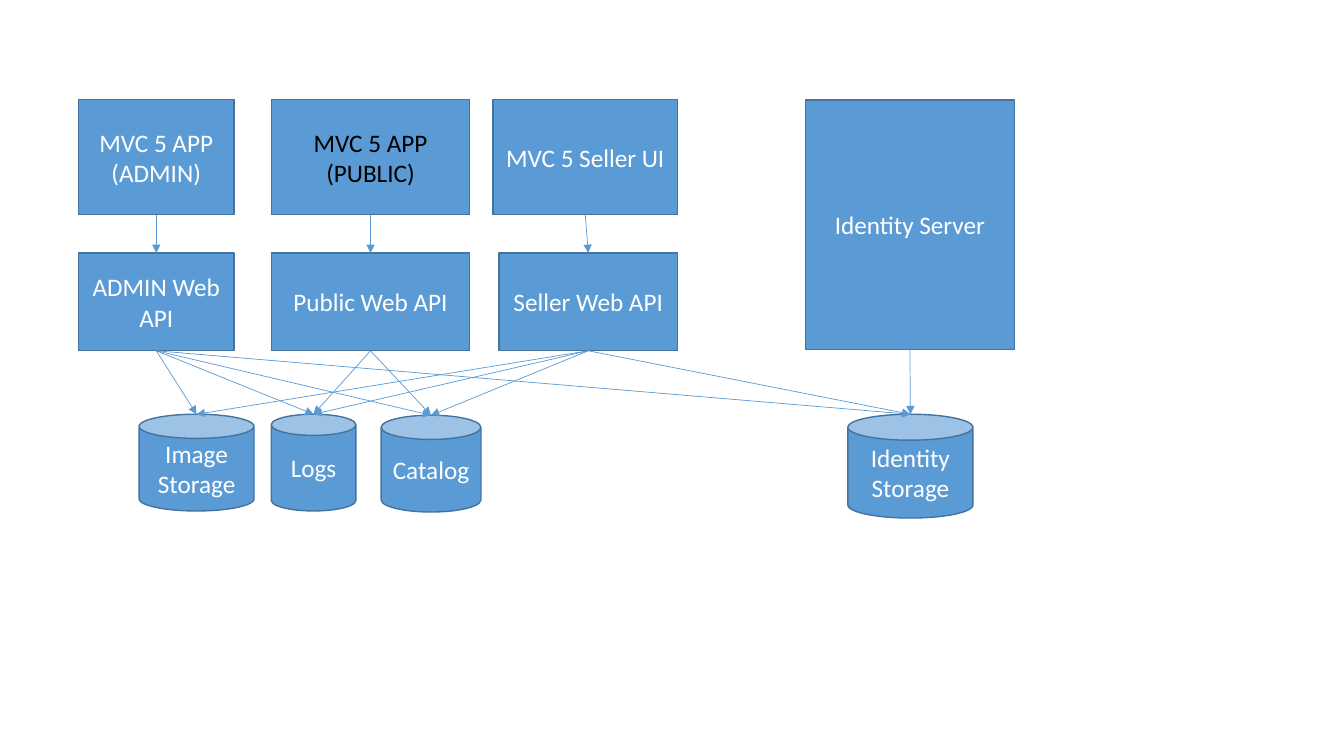
"""Builds a one-slide diagram of web apps, their APIs and their data stores."""
from lxml import etree
from pptx import Presentation
from pptx.dml.color import RGBColor
from pptx.enum.shapes import MSO_CONNECTOR, MSO_SHAPE
from pptx.enum.text import MSO_ANCHOR, PP_ALIGN
from pptx.oxml.ns import qn
from pptx.util import Inches, Pt

RECT, CAN = MSO_SHAPE.RECTANGLE, MSO_SHAPE.CAN
STRAIGHT = MSO_CONNECTOR.STRAIGHT
MIDDLE, CENTER = MSO_ANCHOR.MIDDLE, PP_ALIGN.CENTER
BLUE, DARK_BLUE, WHITE, BLACK = "5B9BD5", "43739E", "FFFFFF", "000000"
RECT_TOP, RECT_BOTTOM, CAN_TOP = 0, 2, 1
APP_TOP, API_TOP, STORE_TOP = 0.99, 2.51, 4.11
APP_H, API_H, STORE_H = 1.14, 0.97, 0.96


def rgb(value):
    """Return the colour for a hex string."""
    return RGBColor.from_string(value)


def add_node(s, kind, text, left, top, width, height, color=WHITE):
    """Add a filled shape with a centred label."""
    sp = s.shapes.add_shape(kind, Inches(left), Inches(top), Inches(width), Inches(height))
    sp.shadow.inherit = False
    sp.fill.solid()
    sp.fill.fore_color.rgb = rgb(BLUE)
    sp.line.color.rgb = rgb(DARK_BLUE)
    sp.line.width = Pt(1)
    tf = sp.text_frame
    tf.text = text
    tf.word_wrap = True
    tf.vertical_anchor = MIDDLE
    p = tf.paragraphs[0]
    p.alignment = CENTER
    font = p.runs[0].font
    font.name, font.size, font.color.rgb = "Calibri", Pt(18), rgb(color)
    return sp


def add_arrow(s, source, target, target_site):
    """Connect the bottom centre of source to the top centre of target."""
    x, y = target.left + target.width // 2, target.top
    cx = s.shapes.add_connector(
        STRAIGHT, source.left + source.width // 2, source.top + source.height, x, y)
    cx.begin_connect(source, RECT_BOTTOM)
    cx.end_connect(target, target_site)
    cx.end_x, cx.end_y = x, y
    cx.line.color.rgb = rgb(BLUE)
    cx.line.width = Pt(0.5)
    etree.SubElement(cx.line._get_or_add_ln(), qn("a:tailEnd"), type="triangle")
    etree.SubElement(cx._element.spPr, qn("a:effectLst"))


def main():
    """Build and save the slide."""
    prs = Presentation()
    prs.slide_width, prs.slide_height = Inches(13.33), Inches(7.5)
    s = prs.slides.add_slide(prs.slide_layouts[6])

    admin_app = add_node(s, RECT, "MVC 5 APP (ADMIN)", 0.78, APP_TOP, 1.54, APP_H)
    public_app = add_node(s, RECT, "MVC 5 APP (PUBLIC)", 2.69, APP_TOP, 1.97, APP_H, BLACK)
    seller_app = add_node(s, RECT, "MVC 5 Seller UI", 4.89, APP_TOP, 1.83, APP_H)
    identity_server = add_node(s, RECT, "Identity Server", 7.99, APP_TOP, 2.07, 2.48)

    admin_api = add_node(s, RECT, "ADMIN Web API", 0.78, API_TOP, 1.54, API_H)
    public_api = add_node(s, RECT, "Public Web API", 2.69, API_TOP, 1.97, API_H)
    seller_api = add_node(s, RECT, "Seller Web API", 4.95, API_TOP, 1.77, API_H)

    images = add_node(s, CAN, "Image Storage", 1.38, STORE_TOP, 1.14, STORE_H)
    logs = add_node(s, CAN, "Logs", 2.69, STORE_TOP, 0.84, STORE_H)
    catalog = add_node(s, CAN, "Catalog", 3.78, 4.12, 0.99, STORE_H)
    identities = add_node(s, CAN, "Identity Storage", 8.41, STORE_TOP, 1.24, 1.03)

    for app, api in ((admin_app, admin_api), (public_app, public_api), (seller_app, seller_api)):
        add_arrow(s, app, api, RECT_TOP)

    stores_used = (
        (admin_api, (images, logs, catalog, identities)),
        (public_api, (logs, catalog)),
        (seller_api, (images, logs, catalog, identities)),
        (identity_server, (identities,)),
    )
    for service, stores in stores_used:
        for store in stores:
            add_arrow(s, service, store, CAN_TOP)

    prs.save("out.pptx")


if __name__ == "__main__":
    main()
